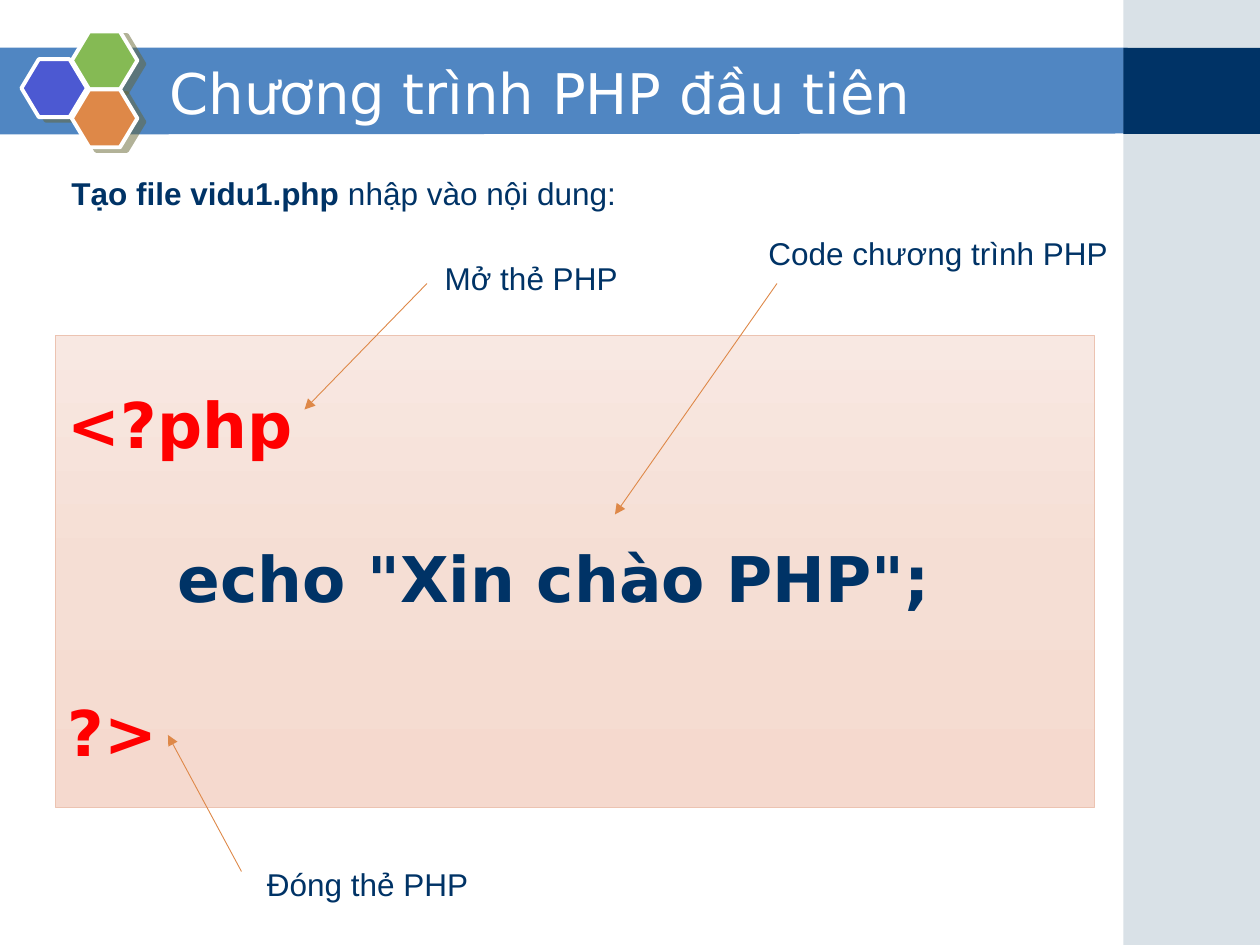
from dataclasses import dataclass

from lxml.etree import SubElement
from pptx import Presentation
from pptx.dml.color import RGBColor
from pptx.enum.shapes import MSO_CONNECTOR, MSO_SHAPE
from pptx.enum.text import MSO_ANCHOR, PP_ALIGN
from pptx.oxml import parse_xml
from pptx.oxml.ns import nsdecls, qn
from pptx.util import Pt

COLORS = {
    "white": "FFFFFF", "navy": "003366", "band": "5086C2", "side": "A0B5C4",
    "violet": "4C59D2", "green": "85BA54", "orange": "DE8848",
    "shadow": "666633", "red": "FF0000", "code_line": "ECC3B1",
    "code_top": "F8E8E2", "code_middle": "F5DED4", "code_bottom": "F5D9CE",
}
SANS, CODE = "Arial", "DejaVu Sans"


@dataclass
class Hexagon:
    left: float
    top: float
    color: str


@dataclass
class Callout:
    text: str
    left: float
    top: float
    width: float
    start: tuple[float, float]
    end: tuple[float, float]


@dataclass
class CodeLine:
    text: str
    color: str
    indent: float = 0


HEXAGONS = [
    Hexagon(12.24, 33.84, "violet"),
    Hexagon(41.04, 18, "green"),
    Hexagon(41.04, 51.12, "orange"),
]
CALLOUTS = [
    Callout("Mở thẻ PHP", 247, 144.7, 114.5, (244, 162), (174, 234)),
    Callout("Đóng thẻ PHP", 145.4, 491, 130.3, (138, 498), (96, 420)),
    Callout("Code chương trình PHP", 432, 130.3, 210.2, (444, 162), (351.4, 294)),
]
CODE_LINES = [
    CodeLine("<?php", "red"),
    CodeLine('echo "Xin chào PHP";', "navy", indent=62.6),
    CodeLine("?>", "red"),
]


def rgb(name: str) -> RGBColor:
    return RGBColor.from_string(COLORS[name])


def add_span(para, text: str, *, size: float = 18, font: str = SANS,
             color: str = "navy", bold: bool = False):
    span = para.add_run()
    span.text = text
    span.font.size = Pt(size)
    span.font.name = font
    span.font.bold = bold
    span.font.color.rgb = rgb(color)
    return span


def add_text(page, text: str, left: float, top: float, width: float,
             height: float = 29, *, wrap: bool = True,
             anchor=MSO_ANCHOR.TOP, **span_format):
    """Add a text box and return its paragraph, so more spans can follow."""
    box = page.shapes.add_textbox(Pt(left), Pt(top), Pt(width), Pt(height))
    box.text_frame.word_wrap = wrap
    box.text_frame.vertical_anchor = anchor
    para = box.text_frame.paragraphs[0]
    add_span(para, text, **span_format)
    return para


def add_filled(shapes, kind, left: float, top: float, width: float,
               height: float, color: str):
    shape = shapes.add_shape(kind, Pt(left), Pt(top), Pt(width), Pt(height))
    shape.shadow.inherit = False
    shape.fill.solid()
    shape.fill.fore_color.rgb = rgb(color)
    shape.line.fill.background()
    return shape


def draw_band(page) -> None:
    builder = page.shapes.build_freeform(Pt(-0.5), Pt(27.2))
    builder.add_line_segments(
        [(Pt(644.4), Pt(27.2)), (Pt(644.4), Pt(76.3)), (Pt(-0.5), Pt(76.8))])
    band = builder.convert_to_shape()
    band.shadow.inherit = False
    band.fill.solid()
    band.fill.fore_color.rgb = rgb("band")
    band.line.fill.background()


def draw_side_strip(page) -> None:
    group = page.shapes.add_group_shape()
    strip = add_filled(group.shapes, MSO_SHAPE.RECTANGLE, 642, 0, 78, 540, "side")
    tint = strip.fill._xPr.find(f".//{qn('a:srgbClr')}")
    SubElement(tint, qn("a:alpha"), val="40000")
    add_filled(group.shapes, MSO_SHAPE.RECTANGLE, 642, 27.4, 78, 49.1, "navy")


def draw_hexagons(page) -> None:
    group = page.shapes.add_group_shape()
    for item in HEXAGONS:
        shape = add_filled(group.shapes, MSO_SHAPE.HEXAGON,
                           item.left, item.top, 37.44, 33.12, item.color)
        shape.adjustments[0] = 0.3
        shape.line.color.rgb = rgb("white")
        shape.line.width = Pt(2.25)
        effects = shape._element.spPr.find(qn("a:effectLst"))
        shadow = SubElement(effects, qn("a:outerShdw"), blurRad="0",
                            dist=str(Pt(4.5)), dir=str(27 * 60000),
                            algn="ctr", rotWithShape="0")
        shade = SubElement(shadow, qn("a:srgbClr"), val=COLORS["shadow"])
        SubElement(shade, qn("a:alpha"), val="50000")


def draw_code(page) -> None:
    box = add_filled(page.shapes, MSO_SHAPE.RECTANGLE,
                     31.7, 192, 594, 269.3, "code_top")
    stops = "".join(
        f'<a:gs pos="{position}"><a:srgbClr val="{COLORS[name]}"/></a:gs>'
        for position, name in ((0, "code_top"), (50000, "code_middle"),
                               (100000, "code_bottom")))
    gradient = parse_xml(
        f'<a:gradFill {nsdecls("a")} rotWithShape="1"><a:gsLst>{stops}</a:gsLst>'
        '<a:lin ang="5400000" scaled="0"/></a:gradFill>')
    properties = box._element.spPr
    properties.replace(properties.find(qn("a:solidFill")), gradient)
    box.line.color.rgb = rgb("code_line")
    box.line.width = Pt(0.5)

    frame = box.text_frame
    frame.word_wrap = True
    frame.vertical_anchor = MSO_ANCHOR.TOP
    frame.margin_top = Pt(28.3)
    for index, line in enumerate(CODE_LINES):
        para = frame.add_paragraph() if index else frame.paragraphs[0]
        para.alignment = PP_ALIGN.LEFT
        para.space_before = Pt(44.7 if index else 0)
        para._p.get_or_add_pPr().set("marL", str(Pt(line.indent)))
        add_span(para, line.text, size=36, font=CODE, color=line.color, bold=True)


def draw_callout(page, item: Callout) -> None:
    add_text(page, item.text, item.left, item.top, item.width, wrap=False)
    arrow = page.shapes.add_connector(
        MSO_CONNECTOR.STRAIGHT, *map(Pt, item.start + item.end))
    arrow.line.color.rgb = rgb("orange")
    arrow.line.width = Pt(0.5)
    SubElement(arrow.line._get_or_add_ln(), qn("a:tailEnd"), type="triangle")
    SubElement(arrow._element.spPr, qn("a:effectLst"))


def main() -> None:
    deck = Presentation()
    deck.slide_width, deck.slide_height = Pt(720), Pt(540)
    page = deck.slides.add_slide(deck.slide_layouts[6])
    draw_band(page)
    draw_side_strip(page)
    draw_hexagons(page)
    add_text(page, "Chương trình PHP đầu tiên", 90, 30.2, 527.8, 44.6,
             anchor=MSO_ANCHOR.MIDDLE, size=32, font=CODE, color="white")
    para = add_text(page, "Tạo file vidu1.php ", 33.8, 95.8, 540, bold=True)
    add_span(para, "nhập vào nội dung:")
    draw_code(page)
    for item in CALLOUTS:
        draw_callout(page, item)
    deck.save("out.pptx")


if __name__ == "__main__":
    main()
